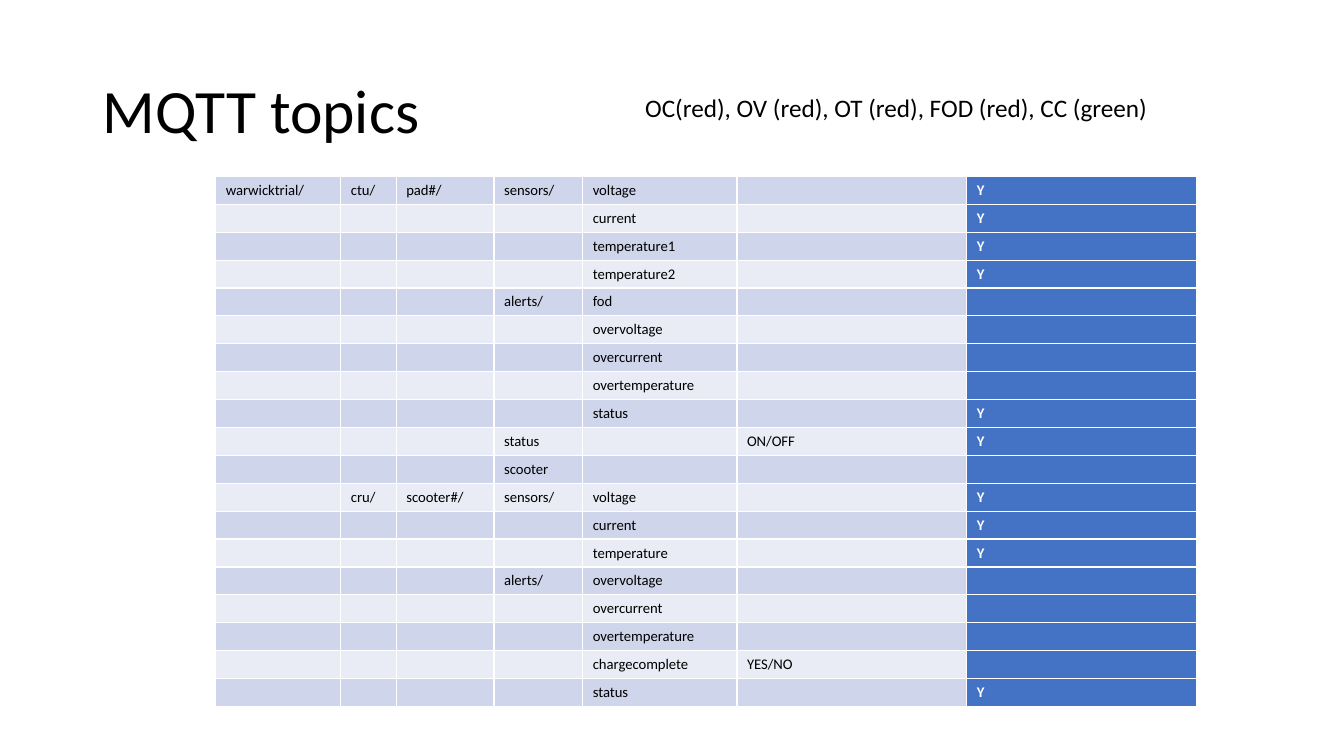
import pptx
import pptx.util
import pptx.dml.color
import pptx.enum.text
import pptx.oxml.ns
import lxml.etree

TITLE = "MQTT topics"
NOTE = "OC(red), OV (red), OT (red), FOD (red), CC (green)"
TOPICS = [
    ("warwicktrial/", "ctu/", "pad#/", "sensors/", "voltage", "", "Y"),
    ("", "", "", "", "current", "", "Y"),
    ("", "", "", "", "temperature1", "", "Y"),
    ("", "", "", "", "temperature2", "", "Y"),
    ("", "", "", "alerts/", "fod", "", ""),
    ("", "", "", "", "overvoltage", "", ""),
    ("", "", "", "", "overcurrent", "", ""),
    ("", "", "", "", "overtemperature", "", ""),
    ("", "", "", "", "status", "", "Y"),
    ("", "", "", "status", "", "ON/OFF", "Y"),
    ("", "", "", "scooter", "", "", ""),
    ("", "cru/", "scooter#/", "sensors/", "voltage", "", "Y"),
    ("", "", "", "", "current", "", "Y"),
    ("", "", "", "", "temperature", "", "Y"),
    ("", "", "", "alerts/", "overvoltage", "", ""),
    ("", "", "", "", "overcurrent", "", ""),
    ("", "", "", "", "overtemperature", "", ""),
    ("", "", "", "", "chargecomplete", "YES/NO", ""),
    ("", "", "", "", "status", "", "Y"),
]
WIDTHS = (1.24, 0.55, 0.97, 0.88, 1.53, 2.28, 2.28)
TABLE_TOP, TABLE_TALL = 1.75, 5.26

THEME = {
    "font": "Calibri",
    "ink": "000000",
    "paper": "FFFFFF",
    "bands": ("CFD5EA", "E9EBF5"),
    "accent": "4472C4",
    "title": 44,
    "note": 18,
    "cell": 10.5,
    "border": 1,
}

Inches = pptx.util.Inches
Pt = pptx.util.Pt
qn = pptx.oxml.ns.qn


def color(code):
    return pptx.dml.color.RGBColor.from_string(code)


def style(para, size, ink, bold=False):
    for run in para.runs:
        run.font.name = THEME["font"]
        run.font.size = Pt(size)
        run.font.bold = bold
        run.font.color.rgb = color(ink)


def add_text(slide, box, text, size, wrap):
    frame = slide.shapes.add_textbox(*map(Inches, box)).text_frame
    frame.word_wrap = wrap
    frame.text = text
    style(frame.paragraphs[0], size, THEME["ink"])
    return frame


def add_border(cell):
    props = cell._tc.get_or_add_tcPr()
    for side in ("lnL", "lnR", "lnT", "lnB"):
        line = lxml.etree.SubElement(props, qn("a:" + side), w=str(Pt(THEME["border"])))
        fill = lxml.etree.SubElement(line, qn("a:solidFill"))
        lxml.etree.SubElement(fill, qn("a:srgbClr"), val=THEME["paper"])


def fill_cell(cell, text, back, ink, bold):
    add_border(cell)
    cell.fill.solid()
    cell.fill.fore_color.rgb = color(back)
    cell.text_frame.text = text
    para = cell.text_frame.paragraphs[0]
    style(para, THEME["cell"], ink, bold)
    if not text:
        size = str(int(THEME["cell"] * 100))
        lxml.etree.SubElement(para._p, qn("a:endParaRPr"), sz=size)


def add_topics(slide):
    table = slide.shapes.add_table(
        len(TOPICS), len(WIDTHS), Inches(2.14), Inches(TABLE_TOP),
        Inches(sum(WIDTHS)), Inches(TABLE_TALL)).table
    table.first_row = False
    table.horz_banding = False
    table.last_col = True
    for column, width in zip(table.columns, WIDTHS):
        column.width = Inches(width)
    last = len(WIDTHS) - 1
    for r, topic in enumerate(TOPICS):
        table.rows[r].height = Inches(TABLE_TALL / len(TOPICS))
        for c, text in enumerate(topic):
            flag = c == last
            back = THEME["accent"] if flag else THEME["bands"][r % 2]
            ink = THEME["paper"] if flag else THEME["ink"]
            fill_cell(table.cell(r, c), text, back, ink, flag)


def main():
    deck = pptx.Presentation()
    deck.slide_width, deck.slide_height = Inches(13.33), Inches(7.5)
    slide = deck.slides.add_slide(deck.slide_layouts[6])
    title = add_text(slide, (0.92, 0.4, 11.5, 1.45), TITLE, THEME["title"], True)
    title.vertical_anchor = pptx.enum.text.MSO_ANCHOR.MIDDLE
    title.paragraphs[0].line_spacing = 0.9
    add_topics(slide)
    note = add_text(slide, (6.3, 0.87, 5.25, 0.4), NOTE, THEME["note"], False)
    note.auto_size = pptx.enum.text.MSO_AUTO_SIZE.SHAPE_TO_FIT_TEXT
    deck.save("out.pptx")


if __name__ == "__main__":
    main()
